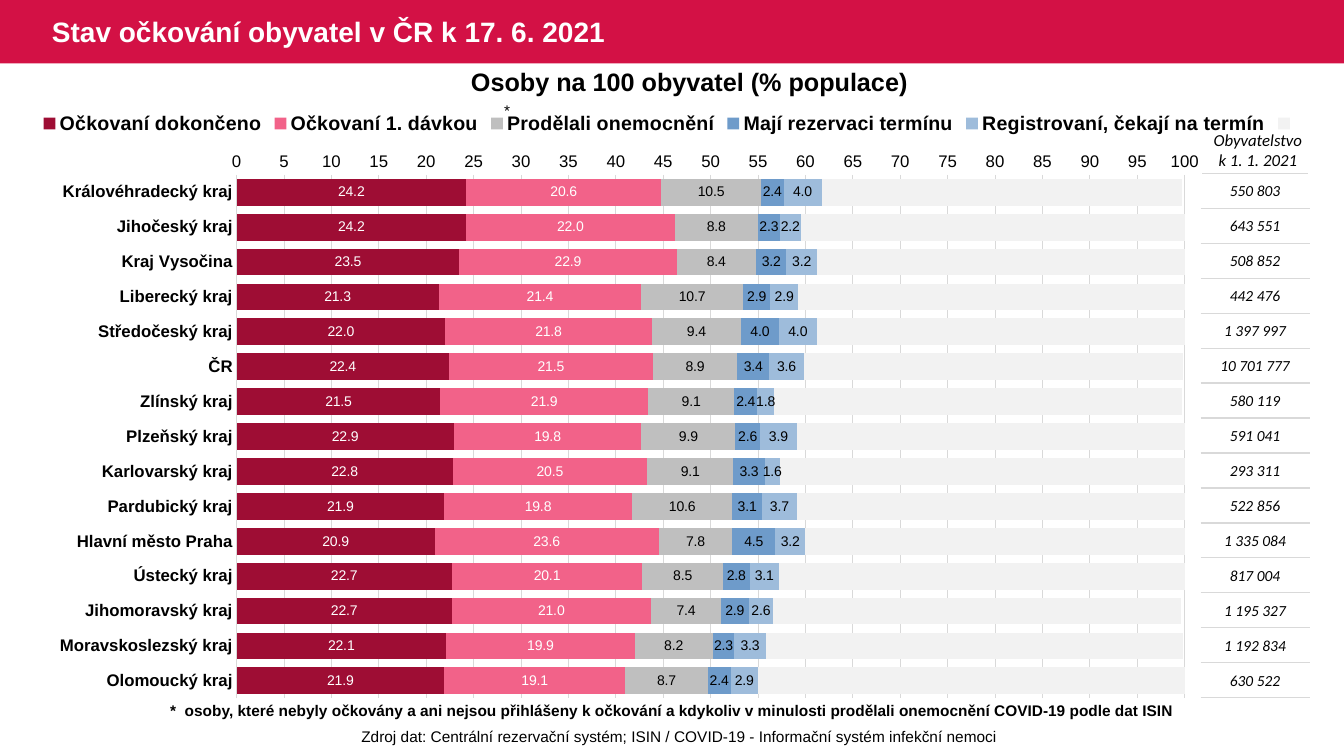
from lxml import etree
from pptx import Presentation
from pptx.chart.data import CategoryChartData
from pptx.dml.color import RGBColor
from pptx.enum.chart import XL_CHART_TYPE, XL_LEGEND_POSITION, XL_TICK_MARK
from pptx.enum.shapes import MSO_SHAPE
from pptx.enum.text import MSO_ANCHOR, PP_ALIGN
from pptx.oxml import parse_xml
from pptx.oxml.ns import nsdecls, qn
from pptx.util import Pt

STACKED = XL_CHART_TYPE.BAR_STACKED
TOP = XL_LEGEND_POSITION.TOP
NO_TICK = XL_TICK_MARK.NONE
RECTANGLE = MSO_SHAPE.RECTANGLE
MIDDLE, ANCHOR_TOP = MSO_ANCHOR.MIDDLE, MSO_ANCHOR.TOP
LEFT, CENTER = PP_ALIGN.LEFT, PP_ALIGN.CENTER

WHITE = RGBColor(0xFF, 0xFF, 0xFF)
BLACK = RGBColor(0x00, 0x00, 0x00)
CRIMSON = RGBColor(0xD3, 0x11, 0x45)
DARK_RED = RGBColor(0x9E, 0x0D, 0x34)
PINK = RGBColor(0xF2, 0x62, 0x89)
GREY = RGBColor(0xBF, 0xBF, 0xBF)
BLUE = RGBColor(0x6E, 0x9B, 0xCA)
LIGHT_BLUE = RGBColor(0x9E, 0xBC, 0xDB)
PALE_GREY = RGBColor(0xF2, 0xF2, 0xF2)
RULE_GREY = RGBColor(0xD9, 0xD9, 0xD9)

REGIONS = [
    ("Královéhradecký kraj", "550 803", 24.2, 20.6, 10.5, 2.4, 4.0, 38),
    ("Jihočeský kraj", "643 551", 24.2, 22.0, 8.8, 2.3, 2.2, 41),
    ("Kraj Vysočina", "508 852", 23.5, 22.9, 8.4, 3.2, 3.2, 39),
    ("Liberecký kraj", "442 476", 21.3, 21.4, 10.7, 2.9, 2.9, 41),
    ("Středočeský kraj", "1 397 997", 22.0, 21.8, 9.4, 4.0, 4.0, 39),
    ("ČR", "10 701 777", 22.4, 21.5, 8.9, 3.4, 3.6, 40),
    ("Zlínský kraj", "580 119", 21.5, 21.9, 9.1, 2.4, 1.8, 43),
    ("Plzeňský kraj", "591 041", 22.9, 19.8, 9.9, 2.6, 3.9, 41),
    ("Karlovarský kraj", "293 311", 22.8, 20.5, 9.1, 3.3, 1.6, 43),
    ("Pardubický kraj", "522 856", 21.9, 19.8, 10.6, 3.1, 3.7, 41),
    ("Hlavní město Praha", "1 335 084", 20.9, 23.6, 7.8, 4.5, 3.2, 40),
    ("Ústecký kraj", "817 004", 22.7, 20.1, 8.5, 2.8, 3.1, 43),
    ("Jihomoravský kraj", "1 195 327", 22.7, 21.0, 7.4, 2.9, 2.6, 43),
    ("Moravskoslezský kraj", "1 192 834", 22.1, 19.9, 8.2, 2.3, 3.3, 44),
    ("Olomoucký kraj", "630 522", 21.9, 19.1, 8.7, 2.4, 2.9, 45),
]
GROUPS = [
    ("Očkovaní dokončeno", DARK_RED, WHITE),
    ("Očkovaní 1. dávkou", PINK, WHITE),
    ("Prodělali onemocnění", GREY, BLACK),
    ("Mají rezervaci termínu", BLUE, BLACK),
    ("Registrovaní, čekají na termín", LIGHT_BLUE, BLACK),
    (" ", PALE_GREY, None),
]


def style_font(font, size, color=BLACK, bold=False, italic=False, name="Arial"):
    font.name, font.size, font.bold, font.italic = name, Pt(size), bold, italic
    font.color.rgb = color


def add_text(text, box, size, color=BLACK, bold=False, italic=False,
             name="Arial", align=LEFT, anchor=ANCHOR_TOP, wrap=False):
    frame = slide.shapes.add_textbox(*map(Pt, box)).text_frame
    frame.word_wrap = wrap
    frame.vertical_anchor = anchor
    frame.text = text
    for paragraph in frame.paragraphs:
        paragraph.alignment = align
        style_font(paragraph.runs[0].font, size, color, bold, italic, name)


prs = Presentation()
prs.slide_width, prs.slide_height = Pt(960), Pt(540)
slide = prs.slides.add_slide(prs.slide_layouts[6])

header = slide.shapes.add_shape(RECTANGLE, 0, 0, Pt(960), Pt(45.2))
header.shadow.inherit = False
header.fill.solid()
header.fill.fore_color.rgb = CRIMSON
header.line.fill.background()
add_text("Stav očkování obyvatel v ČR k 17. 6. 2021", (30, 0, 519, 45),
         20, WHITE, bold=True, anchor=MIDDLE, wrap=True)
add_text("Zdroj dat: Centrální rezervační systém; ISIN / COVID-19 - Informační systém infekční nemoci",
         (251, 516, 471, 21), 11)

data = CategoryChartData(number_format="#,##0.0")
data.categories = [region[0] for region in REGIONS]
for column, (group, _, _) in enumerate(GROUPS, start=2):
    data.add_series(group, [region[column] for region in REGIONS])
chart = slide.shapes.add_chart(STACKED, Pt(17.3), Pt(46.8), Pt(925.2), Pt(459.4), data).chart
chart.has_title = False
style_font(chart.font, 10)

plot = chart.plots[0]
plot.gap_width, plot.overlap, plot.vary_by_categories = 30, 100, False
for series, (_, color, label_color) in zip(plot.series, GROUPS):
    series.format.fill.solid()
    series.format.fill.fore_color.rgb = color
    if label_color is not None:
        labels = series.data_labels
        labels.show_value = True
        labels.number_format = "#,##0.0"
        labels.number_format_is_linked = False
        style_font(labels.font, 10, label_color)

region_axis, percent_axis = chart.category_axis, chart.value_axis
for axis in (region_axis, percent_axis):
    axis.major_tick_mark = axis.minor_tick_mark = NO_TICK
    style_font(axis.tick_labels.font, 12, bold=axis is region_axis)
region_axis.reverse_order = True
percent_axis.minimum_scale, percent_axis.maximum_scale = 0, 100
percent_axis.major_unit = 5
percent_axis.tick_labels.number_format = "0"
percent_axis.tick_labels.number_format_is_linked = False
percent_axis.format.line.fill.background()
for line in (region_axis.format.line, percent_axis.major_gridlines.format.line):
    line.color.rgb = RULE_GREY
    line.width = Pt(0.75)

chart.has_legend = True
chart.legend.position = TOP
chart.legend.include_in_layout = False
style_font(chart.legend.font, 14, bold=True)

plot_area = chart._chartSpace.chart.plotArea
legend = chart.legend._element
for parent, target, frame in (
    (plot_area, "inner", (0.164, 0.17, 0.732, 0.814)),
    (legend, None, (0.01, 0.06, 0.98, 0.06)),
):
    for old_layout in parent.findall(qn("c:layout")):
        parent.remove(old_layout)
    layout = parse_xml(f"<c:layout {nsdecls('c')}><c:manualLayout/></c:layout>")
    settings = [("layoutTarget", target)] if target else []
    settings += [("xMode", "edge"), ("yMode", "edge"), *zip("xywh", frame)]
    for tag, value in settings:
        etree.SubElement(layout[0], qn("c:" + tag)).set("val", str(value))
    parent.insert(0 if parent is plot_area else 1, layout)

add_text("Osoby na 100 obyvatel (% populace)", (152, 44, 681, 29),
         18, bold=True, align=CENTER, wrap=True)

population = slide.shapes.add_table(len(REGIONS), 1, Pt(858), Pt(123.8), Pt(77), Pt(375)).table
population.first_row = population.horz_banding = False
for row, region in enumerate(REGIONS):
    population.rows[row].height = Pt(25)
    cell = population.cell(row, 0)
    cell.text = region[1]
    cell.vertical_anchor = MIDDLE
    cell.margin_left = cell.margin_right = cell.margin_top = Pt(0.7)
    cell.margin_bottom = 0
    cell.fill.background()
    paragraph = cell.text_frame.paragraphs[0]
    paragraph.alignment = CENTER
    style_font(paragraph.runs[0].font, 11, italic=True, name="Calibri")
    properties = cell._tc.get_or_add_tcPr()
    for position, side in enumerate(("lnT", "lnB")):
        properties.insert(position, parse_xml(
            f'<a:{side} {nsdecls("a")} w="12700"><a:solidFill>'
            f'<a:srgbClr val="{RULE_GREY}"/></a:solidFill></a:{side}>'))

add_text("Obyvatelstvo\nk 1. 1. 2021", (858, 89.3, 81, 36),
         12, italic=True, name="Calibri", align=CENTER)
add_text("*\u00a0 osoby, které nebyly očkovány a ani nejsou přihlášeny k očkování a kdykoliv v minulosti "
         "prodělali onemocnění COVID-19 podle dat ISIN".replace("\u00a0", " "),
         (114.5, 497, 733, 21), 11, bold=True)
add_text("*", (353, 68.4, 19, 21), 11)

prs.save("out.pptx")
